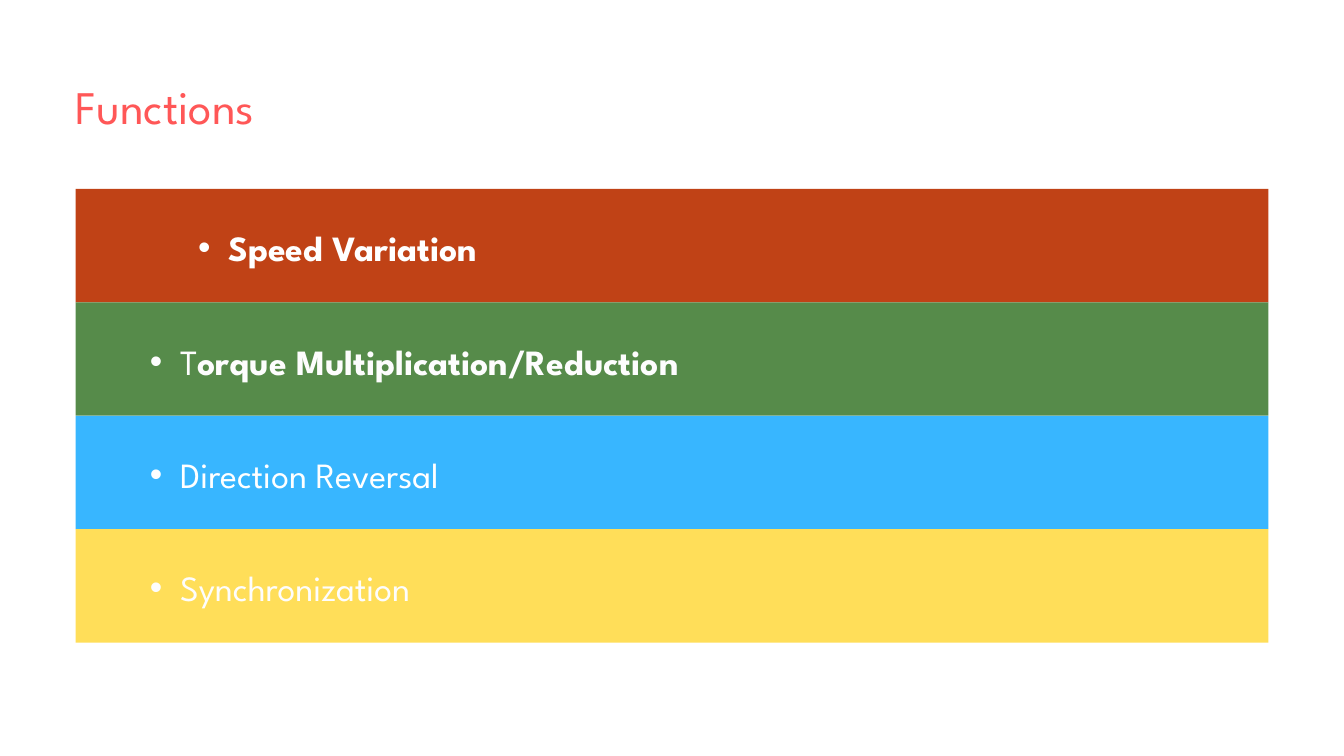
from lxml.etree import SubElement
from pptx import Presentation
from pptx.dml.color import RGBColor as Rgb
from pptx.enum.shapes import MSO_SHAPE as Shape
from pptx.enum.text import MSO_AUTO_SIZE as AutoSize, PP_ALIGN as Align
from pptx.oxml.ns import qn
from pptx.util import Inches, Pt

WIDTH, HEIGHT = Inches(20), Inches(11.25)
ROW = HEIGHT / 20
MARGIN = 2 * ROW
FONT = "League Spartan"
COLORS = {
    "title": "FF5757",
    "rust": "C04216",
    "green": "568B4A",
    "blue": "38B6FF",
    "yellow": "FFDE59",
    "white": "FFFFFF",
    "soft_white": "FDFDFD",
}
FUNCTIONS = [
    ("rust", "white", [("Speed Variation", True)], Align.RIGHT, 0.3),
    ("green", "soft_white", [("T", False), ("orque Multiplication/Reduction", True)], Align.LEFT, 0.61),
    ("blue", "white", [("Direction Reversal", False)], Align.LEFT, 0.43),
    ("yellow", "soft_white", [("Synchronization", False)], Align.LEFT, 0.49),
]


def add_text(slide, box, runs, *, size, color, leading, align=Align.LEFT, bullet=False):
    label = slide.shapes.add_textbox(*map(round, box))
    frame = label.text_frame
    frame.word_wrap = True
    frame.auto_size = AutoSize.SHAPE_TO_FIT_TEXT
    frame.margin_left = frame.margin_top = frame.margin_right = frame.margin_bottom = 0
    line = frame.paragraphs[0]
    if bullet:
        line.level = 1
        props = line._p.get_or_add_pPr()
        props.set("marL", str(Inches(0.9)))
        props.set("indent", str(Inches(-0.45)))
        SubElement(props, qn("a:buFont"), typeface="Arial")
        SubElement(props, qn("a:buChar"), char="•")
    line.alignment = align
    line.line_spacing = Pt(leading)
    for words, bold in runs:
        run = line.add_run()
        run.text = words
        run.font.name = FONT
        run.font.size = Pt(size)
        run.font.bold = bold
        run.font.color.rgb = Rgb.from_string(COLORS[color])


def add_title(slide, box):
    add_text(slide, box, [("Functions", False)], size=50, color="title",
             leading=70, align=Align.JUSTIFY)


def add_band(slide, box, fill, color, runs, align, share):
    left, top, width, height = box
    band = slide.shapes.add_shape(Shape.RECTANGLE, *map(round, box))
    band.shadow.inherit = False
    band.fill.solid()
    band.fill.fore_color.rgb = Rgb.from_string(COLORS[fill])
    band.line.fill.background()
    label_box = (left + 0.037 * width, top + 0.265 * height, share * width, 0.4 * height)
    add_text(slide, label_box, runs, size=38, color=color, leading=53.2,
             align=align, bullet=True)


def add_bands(slide, box):
    left, top, width, height = box
    step = height / len(FUNCTIONS)
    for index, function in enumerate(FUNCTIONS):
        add_band(slide, (left, top + index * step, width, step), *function)


def main():
    deck = Presentation()
    deck.slide_width, deck.slide_height = WIDTH, HEIGHT
    slide = deck.slides.add_slide(deck.slide_layouts[6])
    add_bands(slide, (MARGIN, 5 * ROW, WIDTH - 2 * MARGIN, 12 * ROW))
    add_title(slide, (MARGIN, 1.81 * ROW, 0.27 * WIDTH, 1.65 * ROW))
    deck.save("out.pptx")


if __name__ == "__main__":
    main()
